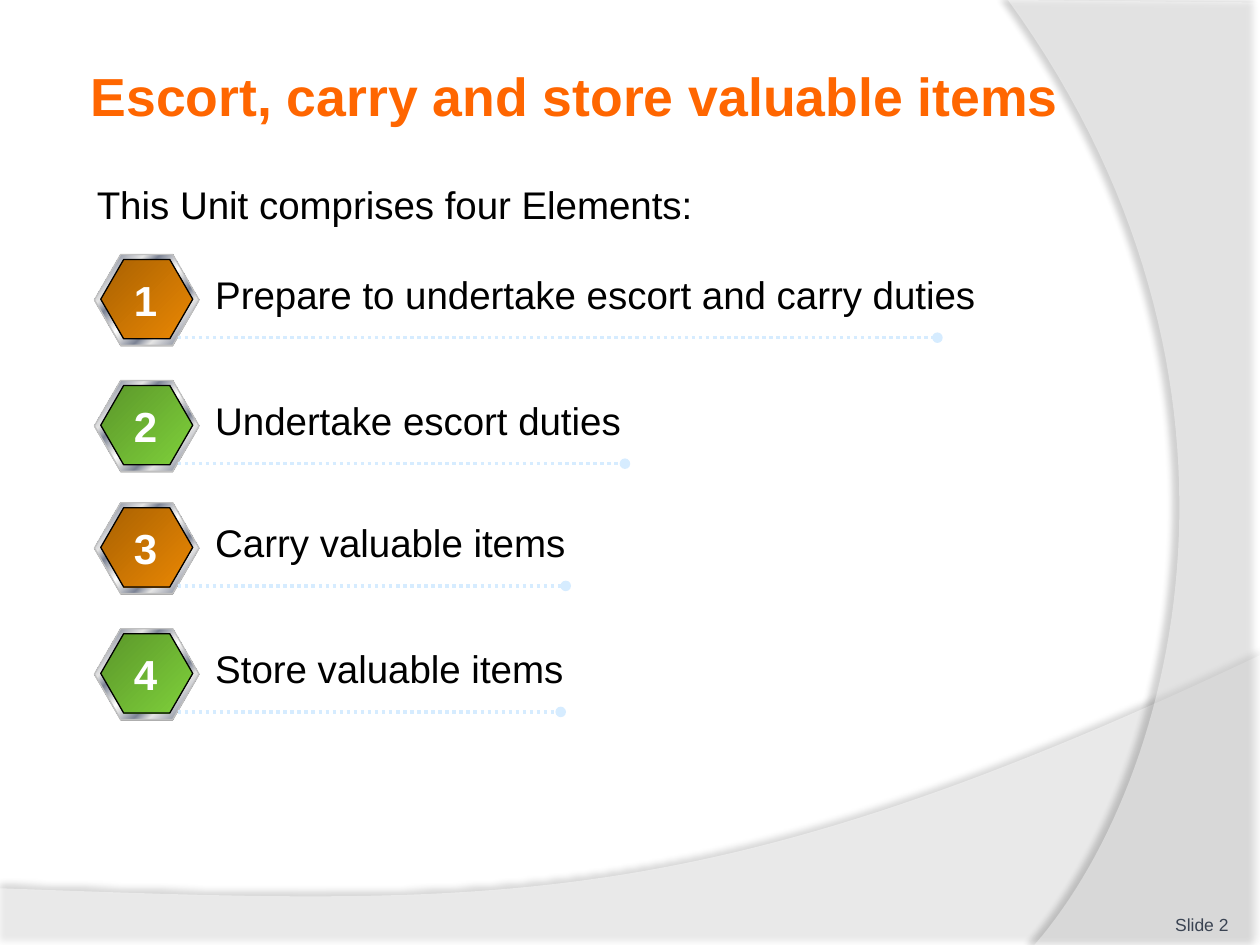
"""Build the slide that lists the four Elements of the unit."""
from lxml.etree import SubElement
from pptx import Presentation
from pptx.dml.color import RGBColor
from pptx.enum.dml import MSO_LINE
from pptx.enum.shapes import MSO_CONNECTOR, MSO_SHAPE
from pptx.enum.text import MSO_ANCHOR as Anchor, MSO_AUTO_SIZE as AutoSize, PP_ALIGN as Align
from pptx.oxml.ns import qn
from pptx.util import Pt

PX = 9144
FONT = "Arial"
BLACK = RGBColor(0x00, 0x00, 0x00)
WHITE = RGBColor(0xFF, 0xFF, 0xFF)
ORANGE = RGBColor(0xFF, 0x66, 0x00)
SLATE = RGBColor(0x3A, 0x43, 0x52)
GRAY = RGBColor(0x80, 0x80, 0x80)
SILVER = RGBColor(0xC0, 0xC0, 0xC0)
LIGHT = RGBColor(0xE6, 0xE6, 0xE6)
STEEL = RGBColor(0x7D, 0x84, 0x96)
PALE_BLUE = RGBColor(0xD6, 0xEC, 0xFF)
BROWN = [(0, RGBColor(0xA8, 0x61, 0x02)), (100, RGBColor(0xEB, 0x88, 0x03))]
GREEN = [(0, RGBColor(0x5B, 0x96, 0x2A)), (100, RGBColor(0x7F, 0xD1, 0x3B))]
CHROME = [(0, LIGHT), (8, STEEL), (26, LIGHT), (34, STEEL), (46, LIGHT), (50, WHITE),
          (54, LIGHT), (66, STEEL), (74, LIGHT), (92, STEEL), (100, LIGHT)]

ELEMENTS = [
    (202, "Prepare to undertake escort and carry duties", 661, 744, BROWN),
    (302, "Undertake escort duties", 386, 496, GREEN),
    (399, "Carry valuable items", 339, 449, BROWN),
    (499, "Store valuable items", 412, 445, GREEN),
]


def px(*lengths):
    return [round(length * PX) for length in lengths]


def add_color(parent, color, alpha=100):
    clr = SubElement(parent, qn("a:srgbClr"), val=str(color))
    if alpha < 100:
        SubElement(clr, qn("a:alpha"), val=str(alpha * 1000))


def bezier(start, control1, control2, end, steps=60):
    points = []
    for step in range(1, steps + 1):
        t = step / steps
        weights = ((1 - t) ** 3, 3 * t * (1 - t) ** 2, 3 * t * t * (1 - t), t ** 3)
        corners = (start, control1, control2, end)
        points.append(px(*(sum(w * c[axis] for w, c in zip(weights, corners))
                           for axis in (0, 1))))
    return points


def add_swoosh(shapes, corners, curve, alpha, shadow_alpha, distance, direction):
    builder = shapes.build_freeform(*px(*corners[0]))
    builder.add_line_segments([px(*corner) for corner in corners[1:]] + bezier(*curve))
    swoosh = builder.convert_to_shape()
    swoosh.fill.solid()
    swoosh.fill.fore_color.rgb = WHITE
    white = swoosh._element.spPr.find(qn("a:solidFill")).find(qn("a:srgbClr"))
    SubElement(white, qn("a:alpha"), val=str(alpha * 1000))
    swoosh.line.fill.background()
    swoosh.shadow.inherit = False
    effects = swoosh._element.spPr.find(qn("a:effectLst"))
    shadow = SubElement(effects, qn("a:outerShdw"), blurRad=str(Pt(4)), dist=str(Pt(distance)),
                        dir=str(direction * 60000), algn="ctr", rotWithShape="0")
    add_color(shadow, BLACK, shadow_alpha)


def add_text(shapes, box, text, size, color=BLACK, bold=False, align=Align.LEFT,
             anchor=Anchor.TOP, inset=None, wrap=True, fit=AutoSize.NONE):
    textbox = shapes.add_textbox(*px(*box))
    frame = textbox.text_frame
    frame.word_wrap = wrap
    frame.auto_size = fit
    frame.vertical_anchor = anchor
    if inset is not None:
        frame.margin_left = frame.margin_top = frame.margin_right = frame.margin_bottom = inset * PX
    paragraph = frame.paragraphs[0]
    paragraph.text = text
    paragraph.alignment = align
    font = paragraph.font
    font.name, font.size, font.bold = FONT, Pt(size), bold
    font.color.rgb = color


def add_hexagon(shapes, box, stops, outline=None):
    hexagon = shapes.add_shape(MSO_SHAPE.HEXAGON, *px(*box))
    hexagon.adjustments[0] = 0.289
    hexagon.shadow.inherit = False
    if len(stops) == 1:
        hexagon.fill.solid()
        hexagon.fill.fore_color.rgb = stops[0][1]
    else:
        hexagon.fill.gradient()
        hexagon.fill.gradient_angle = 315
        stop_list = hexagon._element.spPr.find(qn("a:gradFill")).find(qn("a:gsLst"))
        stop_list.clear()
        for position, color in stops:
            add_color(SubElement(stop_list, qn("a:gs"), pos=str(position * 1000)), color)
    if outline is None:
        hexagon.line.fill.background()
    else:
        hexagon.line.color.rgb = outline
        hexagon.line.width = Pt(0.75)


def add_dotted_rule(shapes, left, right, y):
    rule = shapes.add_connector(MSO_CONNECTOR.STRAIGHT, *px(left, y, right, y))
    rule.line.color.rgb = PALE_BLUE
    rule.line.width = Pt(2)
    rule.line.dash_style = MSO_LINE.ROUND_DOT
    properties = rule._element.spPr
    SubElement(properties.find(qn("a:ln")), qn("a:tailEnd"), type="oval")
    SubElement(properties, qn("a:effectLst"))


def add_element(shapes, number, top, label, label_width, rule_end, core):
    row = shapes.add_group_shape().shapes
    add_hexagon(row, (75, top + 1, 83, 72), [(0, GRAY)])
    add_hexagon(row, (75, top, 83, 72), CHROME, SILVER)
    add_hexagon(row, (80, top + 4, 73, 63), core, BLACK)
    add_dotted_rule(row, 141, rule_end, top + 66)
    add_text(row, (161, top + 8, label_width, 47), label, 22, fit=AutoSize.SHAPE_TO_FIT_TEXT)
    add_text(row, (96, top + 11, 39, 50), str(number), 24, WHITE, True, Align.CENTER,
             wrap=False, fit=AutoSize.SHAPE_TO_FIT_TEXT)


def main():
    deck = Presentation()
    deck.slide_width, deck.slide_height = px(1000, 750)
    shapes = deck.slides.add_slide(deck.slide_layouts[6]).shapes
    add_swoosh(shapes, [(0, 705), (0, 751), (1000, 751), (1000, 520)],
               [(1000, 520), (559, 729), (391, 719), (0, 705)], 45, 35, 3.5, 270)
    add_swoosh(shapes, [(1000, 2), (1000, 750), (821, 750)],
               [(821, 750), (935, 619), (1018, 300), (800, 0)], 40, 45, 4, 180)
    add_text(shapes, (67, 36, 817, 79), "Escort, carry and store valuable items", 30.6,
             ORANGE, True, anchor=Anchor.MIDDLE, inset=5)
    add_text(shapes, (67, 139, 817, 526), "This Unit comprises four Elements:", 22)
    add_text(shapes, (892, 702, 83, 40), "Slide 2", 10, SLATE, align=Align.RIGHT,
             anchor=Anchor.BOTTOM, inset=0)
    for number, element in enumerate(ELEMENTS, 1):
        add_element(shapes, number, *element)
    deck.save("out.pptx")


if __name__ == "__main__":
    main()
